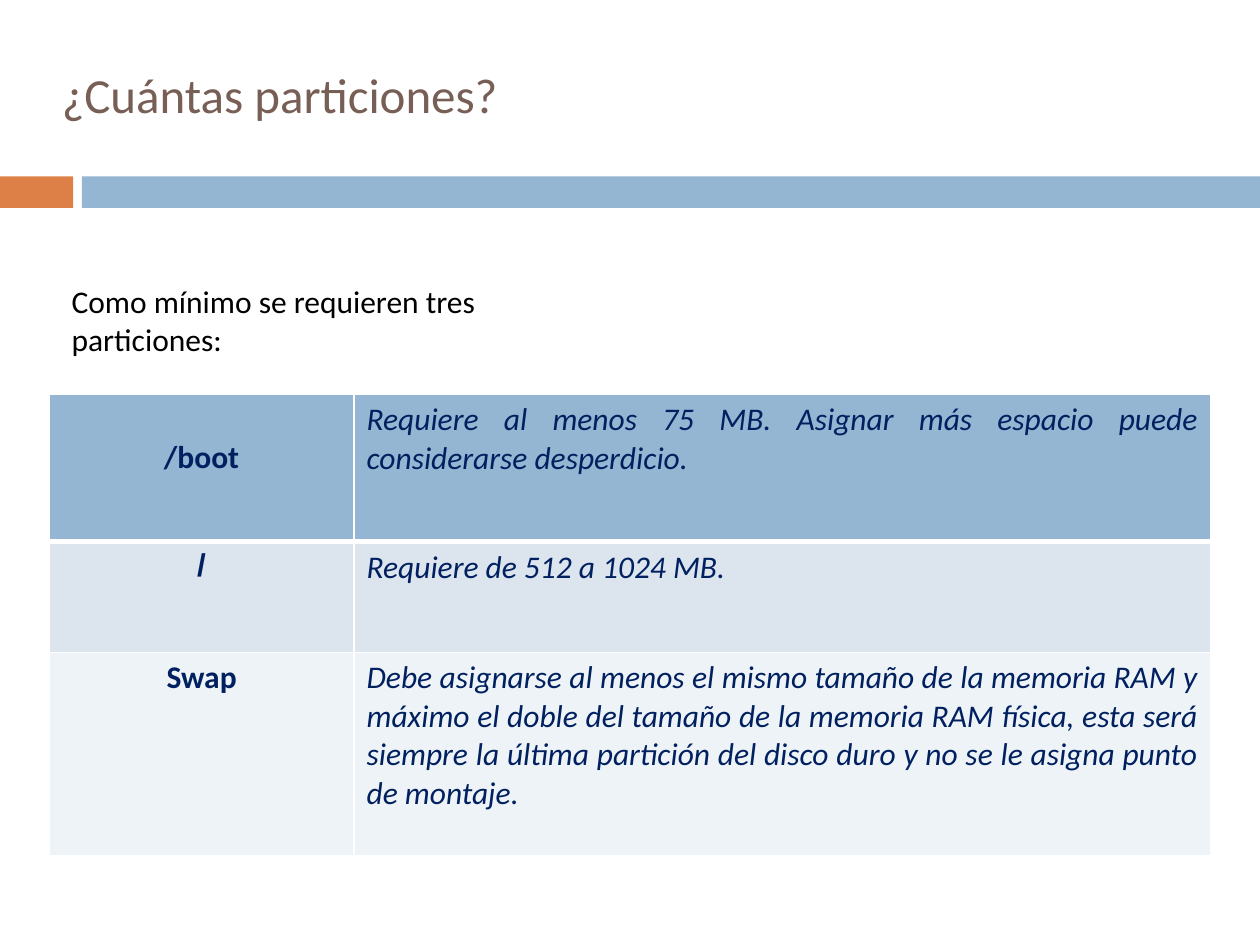
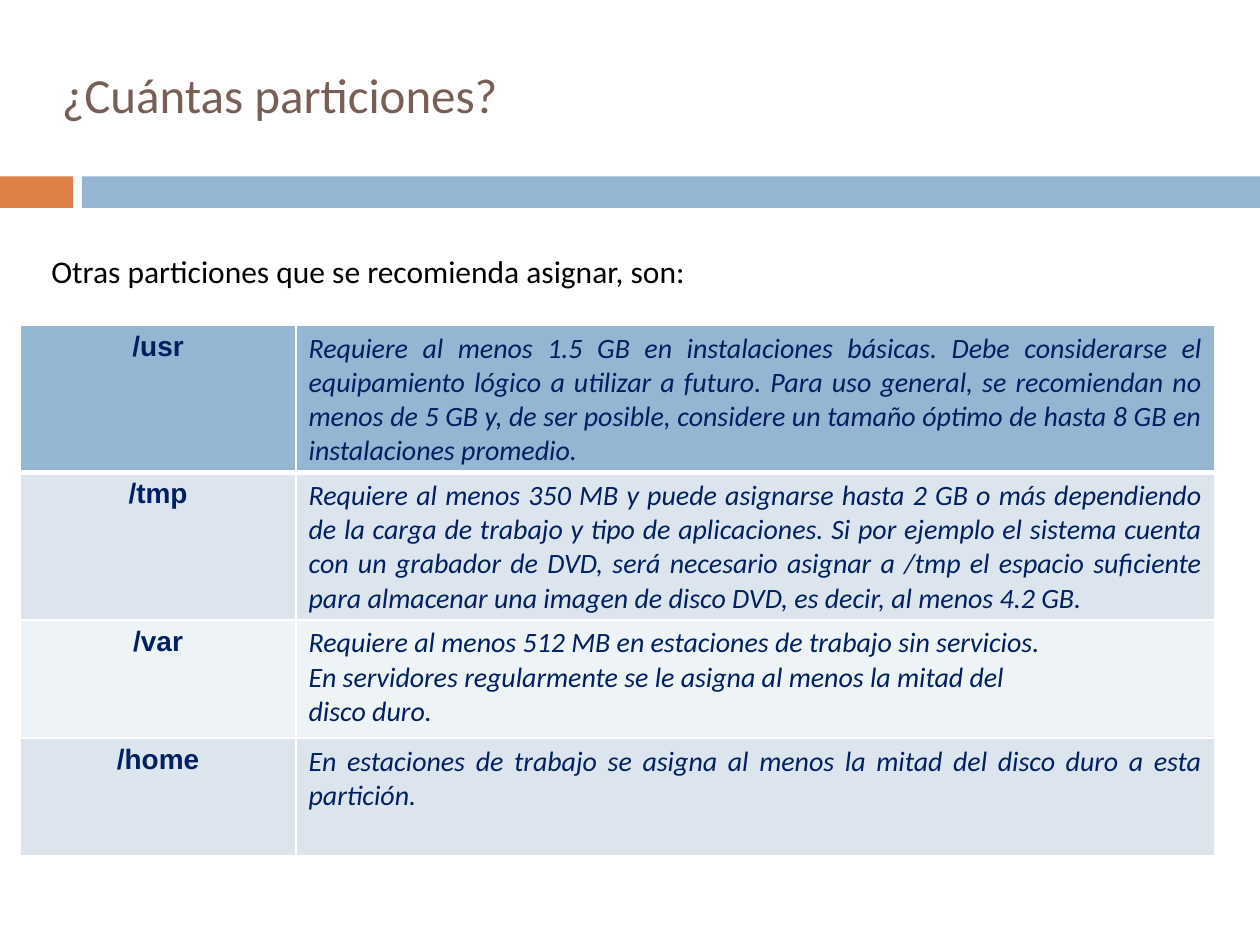
from lxml import etree
from pptx import Presentation
from pptx import util as u
from pptx.dml.color import RGBColor
from pptx.enum import shapes, text
from pptx.oxml.ns import qn

COLORS = {
    "accent": "DD8047", "band": "94B6D2", "title": "775F55", "black": "000000",
    "navy": "002060", "odd": "DCE5EE", "even": "EEF3F7", "white": "FFFFFF",
}
TITLE = "¿Cuántas particiones?"
BANDS = [("accent", 0, 0.58), ("band", 0.65, 9.35)]

# Each row: name, name font, height, space above the name, description
SLIDES = [
    {
        "intro": "Como mínimo se requieren tres particiones:",
        "intro_at": (0.47, 2.19, 4.49, 0.4),
        "table_at": (0.39, 3.13), "columns": (2.42, 6.8), "size": 18,
        "rows": [
            ("/boot", "Calibri", 1.17, 0.35,
             "Requiere al menos 75 MB. Asignar más espacio puede considerarse "
             "desperdicio."),
            ("/", "Arial", 0.88, 0.05, "Requiere de 512 a 1024 MB."),
            ("Swap", "Calibri", 1.61, 0.05,
             "Debe asignarse al menos el mismo tamaño de la memoria RAM y máximo "
             "el doble del tamaño de la memoria RAM física, esta será siempre la "
             "última partición del disco duro y no se le asigna punto de montaje."),
        ],
    },
    {
        "intro": "Otras particiones que se recomienda asignar, son:",
        "intro_at": (0.31, 1.95, 6.17, 0.4),
        "table_at": (0.16, 2.58), "columns": (2.19, 7.29), "size": 16,
        "rows": [
            ("/usr", "Arial", 1.17, 0.05,
             "Requiere al menos 1.5 GB en instalaciones básicas. Debe considerarse "
             "el equipamiento lógico a utilizar a futuro. Para uso general, se "
             "recomiendan no menos de 5 GB y, de ser posible, considere un tamaño "
             "óptimo de hasta 8 GB en instalaciones promedio."),
            ("/tmp", "Arial", 1.17, 0.05,
             "Requiere al menos 350 MB y puede asignarse hasta 2 GB o más "
             "dependiendo de la carga de trabajo y tipo de aplicaciones. Si por "
             "ejemplo el sistema cuenta con un grabador de DVD, será necesario "
             "asignar a /tmp el espacio suficiente para almacenar una imagen de "
             "disco DVD, es decir, al menos 4.2 GB."),
            ("/var", "Arial", 0.94, 0.05,
             "Requiere al menos 512 MB en estaciones de trabajo sin servicios.\n"
             "En servidores regularmente se le asigna al menos la mitad del\n"
             "disco duro."),
            ("/home", "Arial", 0.93, 0.05,
             "En estaciones de trabajo se asigna al menos la mitad del disco duro "
             "a esta partición."),
        ],
    },
]


def color(name):
    return RGBColor.from_string(COLORS[name])


def write(frame, words, ink, align, **font):
    frame.text = words
    for para in frame.paragraphs:
        para.alignment = align
        for span in para.runs:
            span.font.color.rgb = color(ink)
            for key, value in font.items():
                setattr(span.font, key, value)


def place(shape, spot):
    for side, length in zip(("left", "top", "width", "height"), spot):
        setattr(shape, side, u.Inches(length))


def add_frame(slide):
    """Add the title and the two bands that every slide carries."""
    title = slide.shapes.title
    place(title, (0.39, 0.33, 9.34, 0.83))
    write(title.text_frame, TITLE, "title", text.PP_ALIGN.LEFT,
          name="Calibri", size=u.Pt(28))
    title.text_frame.vertical_anchor = text.MSO_ANCHOR.MIDDLE
    for fill, left, width in BANDS:
        band = slide.shapes.add_shape(
            shapes.MSO_SHAPE.RECTANGLE, u.Inches(left), u.Inches(1.4),
            u.Inches(width), u.Inches(0.25))
        band.shadow.inherit = False
        band.fill.solid()
        band.fill.fore_color.rgb = color(fill)
        band.line.fill.background()


def add_intro(slide, words, spot):
    box = slide.shapes.add_textbox(*map(u.Inches, spot))
    box.text_frame.word_wrap = True
    write(box.text_frame, words, "black", text.PP_ALIGN.LEFT,
          name="Calibri", size=u.Pt(18))


def set_borders(cell, widths):
    properties = cell._tc.get_or_add_tcPr()
    for side, points in widths.items():
        line = etree.SubElement(properties, qn(f"a:ln{side}"), w=str(u.Pt(points)))
        fill = etree.SubElement(line, qn("a:solidFill"))
        etree.SubElement(fill, qn("a:srgbClr"), val=COLORS["white"])


def add_partitions(slide, content):
    rows, columns = content["rows"], content["columns"]
    left, top = content["table_at"]
    height = sum(row[2] for row in rows)
    table = slide.shapes.add_table(
        len(rows), len(columns), u.Inches(left), u.Inches(top),
        u.Inches(sum(columns)), u.Inches(height)).table
    for column, width in zip(table.columns, columns):
        column.width = u.Inches(width)
    size = u.Pt(content["size"])
    for index, (name, font, row_height, above, description) in enumerate(rows):
        table.rows[index].height = u.Inches(row_height)
        name_cell, description_cell = table.rows[index].cells
        write(name_cell.text_frame, name, "navy", text.PP_ALIGN.CENTER,
              name=font, size=size, bold=True, italic=False)
        write(description_cell.text_frame, description, "navy",
              text.PP_ALIGN.JUSTIFY, name="Calibri", size=size,
              bold=False, italic=True)
        name_cell.margin_top = u.Inches(above)
        shade = "band" if index == 0 else ("even", "odd")[index % 2]
        for cell in (name_cell, description_cell):
            set_borders(cell, {"L": 1, "R": 1, "T": 3 if index == 1 else 1,
                               "B": 3 if index == 0 else 1})
            cell.fill.solid()
            cell.fill.fore_color.rgb = color(shade)


def main():
    deck = Presentation()
    deck.slide_width, deck.slide_height = u.Inches(10), u.Inches(7.5)
    for content in SLIDES:
        slide = deck.slides.add_slide(deck.slide_layouts.get_by_name("Title Only"))
        add_frame(slide)
        add_intro(slide, content["intro"], content["intro_at"])
        add_partitions(slide, content)
    deck.save("out.pptx")


if __name__ == "__main__":
    main()
